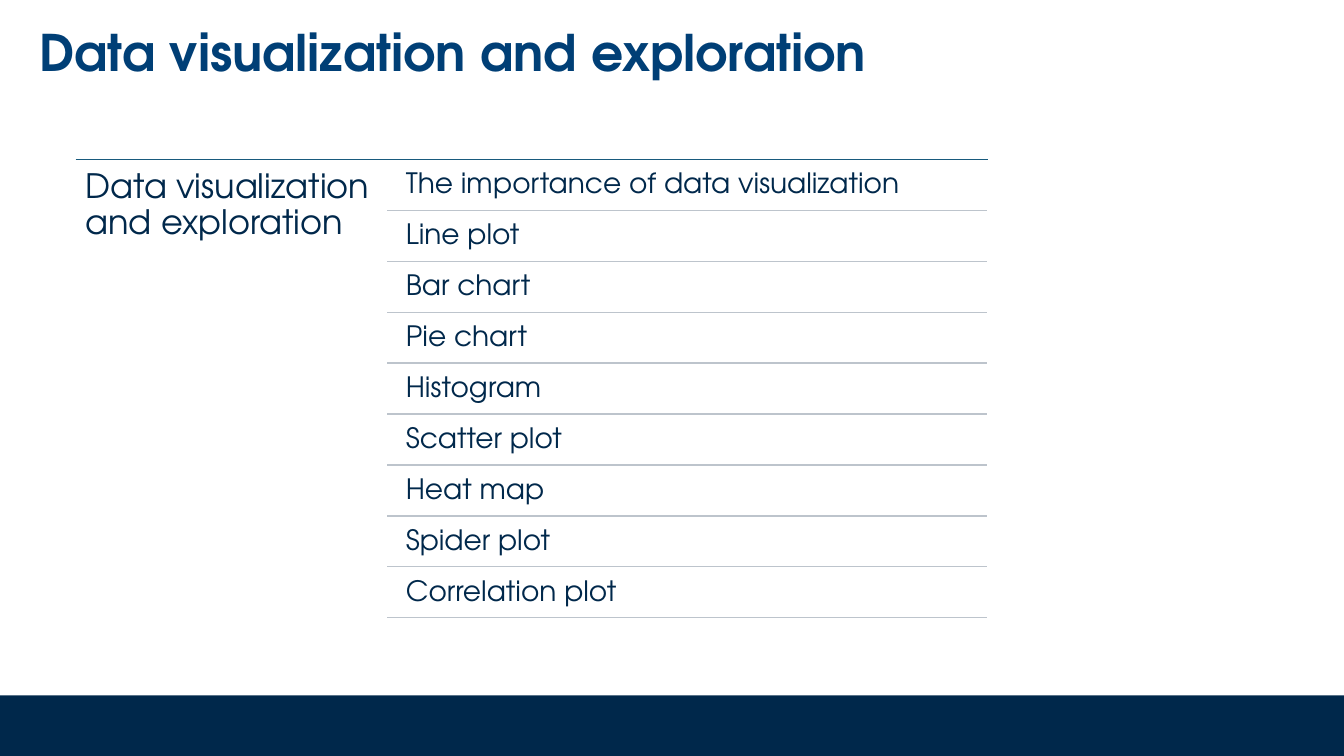
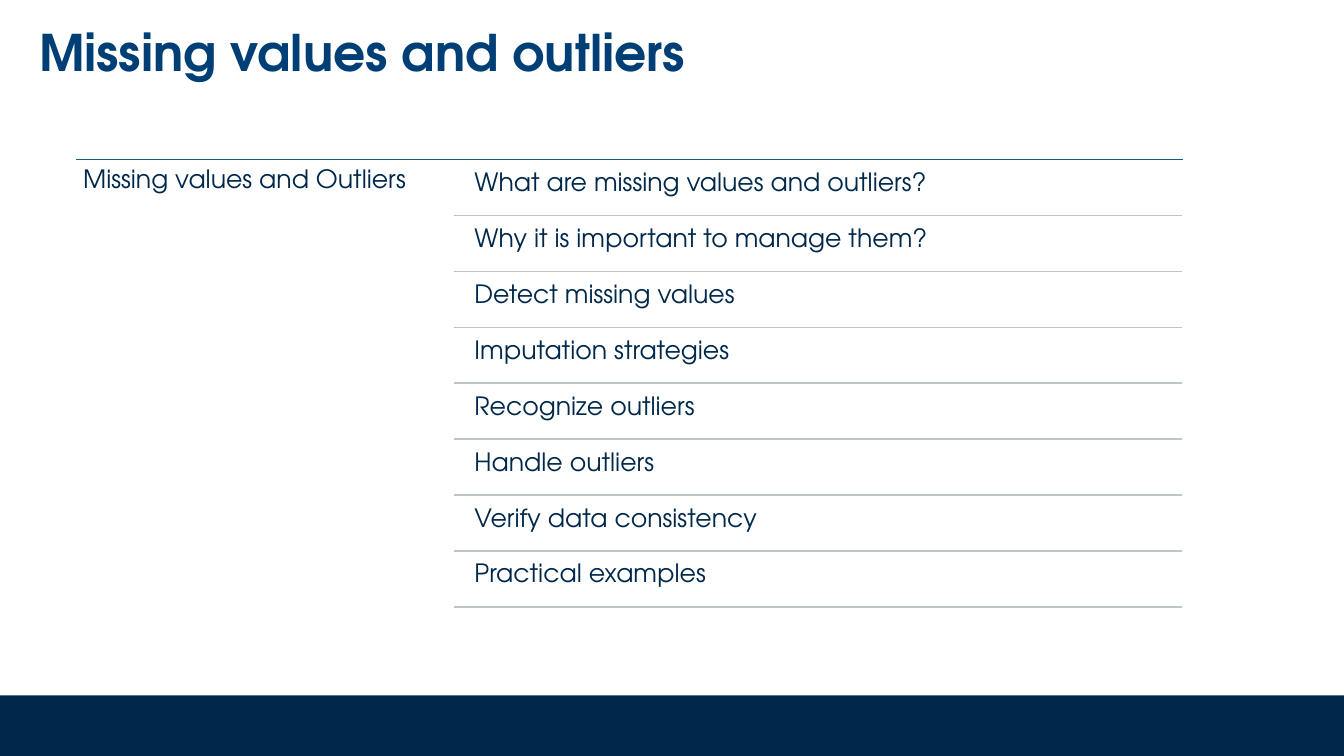
import pptx
import pptx.dml.color
import pptx.enum.shapes
import pptx.enum.text
import pptx.oxml
import pptx.oxml.ns
import pptx.util
from lxml import etree

Pt = pptx.util.Pt
RGBColor = pptx.dml.color.RGBColor

TITLE_BLUE = RGBColor(0x00, 0x3F, 0x76)
NAVY = RGBColor(0x00, 0x28, 0x4B)
TEAL = RGBColor(0x18, 0x5A, 0x7D)
RULE_GREY = RGBColor(0xBD, 0xC4, 0xCC)
FONT = "TeX Gyre Adventor"

SLIDE_WIDTH, SLIDE_HEIGHT = 960, 540
BAND_HEIGHT = 43.3
AGENDA_LEFT, AGENDA_TOP = 54, 113.9
ROW_GAP = 1.9

AGENDAS = [
    {
        "title": "Data visualization and exploration",
        "topic": "Data visualization and exploration",
        "topic_size": 24,
        "topic_inset": 7.2,
        "item_size": 20,
        "item_inset": 5.5,
        "rule_left": 276.5,
        "item_left": 284.4,
        "right": 705.3,
        "row_pitch": 36.37,
        "items": [
            "The importance of data visualization",
            "Line plot",
            "Bar chart",
            "Pie chart",
            "Histogram",
            "Scatter plot",
            "Heat map",
            "Spider plot",
            "Correlation plot",
        ],
    },
    {
        "title": "Missing values and outliers",
        "topic": "Missing values and Outliers",
        "topic_size": 18,
        "topic_inset": 5.4,
        "item_size": 18,
        "item_inset": 5.4,
        "rule_left": 324,
        "item_left": 333.5,
        "right": 844.2,
        "row_pitch": 39.95,
        "items": [
            "What are missing values and outliers?",
            "Why it is important to manage them?",
            "Detect missing values",
            "Imputation strategies",
            "Recognize outliers",
            "Handle outliers",
            "Verify data consistency",
            "Practical examples",
        ],
    },
]


def add_text(slide, text, left, top, width, height, size, inset,
             color=NAVY, bold=False, spacing=0.9):
    box = slide.shapes.add_textbox(Pt(left), Pt(top), Pt(width), Pt(height))
    frame = box.text_frame
    frame.word_wrap = True
    frame.vertical_anchor = pptx.enum.text.MSO_ANCHOR.TOP
    horizontal, vertical = inset
    frame.margin_left = frame.margin_right = Pt(horizontal)
    frame.margin_top = frame.margin_bottom = Pt(vertical)
    paragraph = frame.paragraphs[0]
    paragraph.line_spacing = spacing
    run = paragraph.add_run()
    run.text = text
    run.font.name = FONT
    run.font.size = Pt(size)
    run.font.bold = bold
    run.font.color.rgb = color


def add_rule(slide, left, right, y, color):
    rule = slide.shapes.add_connector(
        pptx.enum.shapes.MSO_CONNECTOR.STRAIGHT, Pt(left), Pt(y), Pt(right), Pt(y))
    rule.line.color.rgb = color
    rule.line.width = Pt(1)
    etree.SubElement(rule._element.spPr, pptx.oxml.ns.qn("a:effectLst"))


def add_frame(slide, title):
    band = slide.shapes.add_shape(
        pptx.enum.shapes.MSO_SHAPE.RECTANGLE,
        0, Pt(SLIDE_HEIGHT - BAND_HEIGHT), Pt(SLIDE_WIDTH), Pt(BAND_HEIGHT))
    band.shadow.inherit = False
    band.fill.solid()
    band.fill.fore_color.rgb = NAVY
    band.line.fill.background()
    add_text(slide, title, 21, 14.4, 918.7, 85, 36, (7.2, 3.6),
             TITLE_BLUE, True, Pt(40))


def add_agenda(slide, agenda):
    pitch, right = agenda["row_pitch"], agenda["right"]
    rule_left, item_left = agenda["rule_left"], agenda["item_left"]
    add_rule(slide, AGENDA_LEFT, right + 0.7, AGENDA_TOP, TEAL)
    add_text(slide, agenda["topic"], AGENDA_LEFT, AGENDA_TOP,
             rule_left - AGENDA_LEFT, pitch * len(agenda["items"]),
             agenda["topic_size"], (agenda["topic_inset"],) * 2)
    for row, item in enumerate(agenda["items"]):
        top = AGENDA_TOP + row * pitch
        add_text(slide, item, item_left, top + ROW_GAP, right - item_left,
                 pitch - ROW_GAP, agenda["item_size"], (agenda["item_inset"],) * 2)
        add_rule(slide, rule_left, right, top + pitch, RULE_GREY)


def main():
    deck = pptx.Presentation()
    deck.slide_width, deck.slide_height = Pt(SLIDE_WIDTH), Pt(SLIDE_HEIGHT)
    for agenda in AGENDAS:
        slide = deck.slides.add_slide(deck.slide_layouts[6])
        add_frame(slide, agenda["title"])
        add_agenda(slide, agenda)
    deck.save("out.pptx")


if __name__ == "__main__":
    main()
